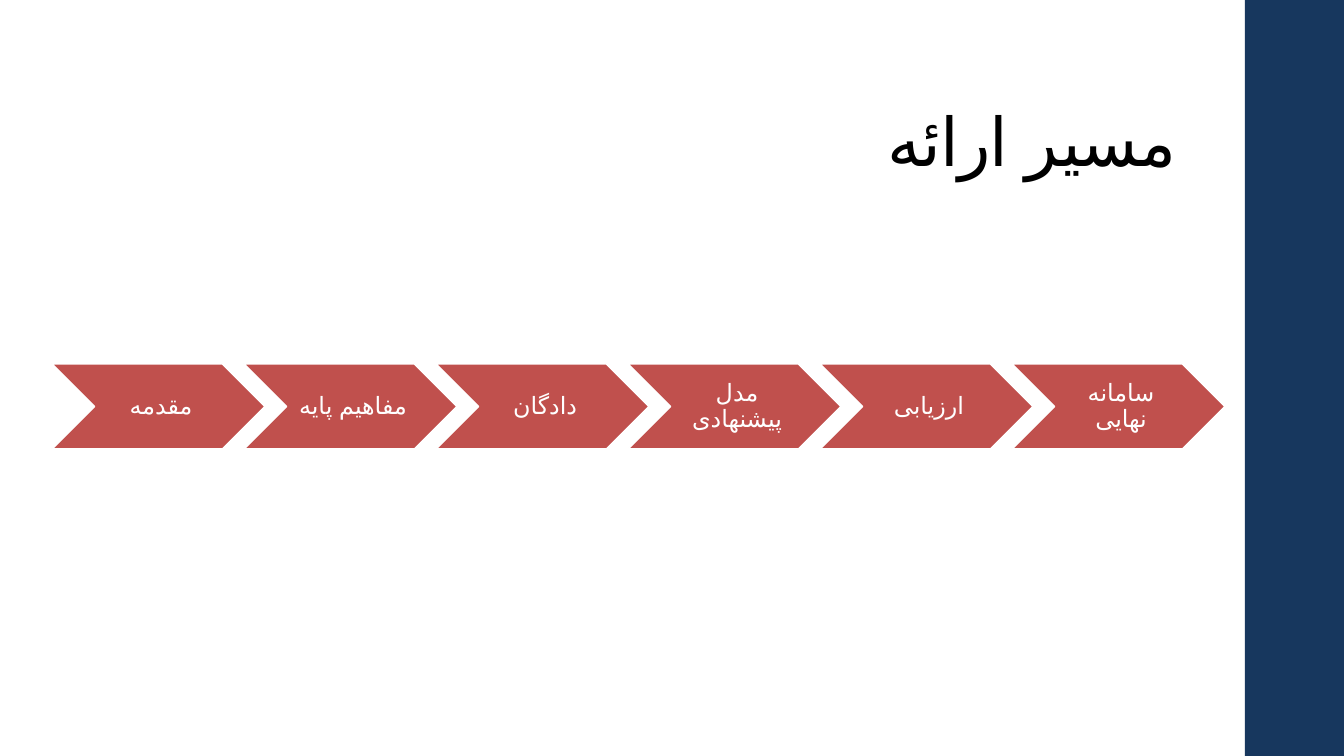
import dataclasses

import pptx
import pptx.dml.color
import pptx.enum.shapes
import pptx.enum.text
import pptx.util
from lxml import etree
from pptx.oxml.ns import qn


@dataclasses.dataclass(frozen=True)
class Theme:
    font: str = "TeX Gyre Schola"
    navy: str = "17375E"
    red: str = "C0504D"
    black: str = "000000"
    white: str = "FFFFFF"
    title_size: int = 48
    step_size: int = 17
    outline: float = 1.1


def px(length):
    """Turn whole pixels into EMU."""
    return pptx.util.Emu(round(length * 914400 / 100.8))


def rgb(colour):
    return pptx.dml.color.RGBColor.from_string(colour)


class SlideBuilder:
    def __init__(self, slide, theme):
        self.slide = slide
        self.theme = theme

    def add_text(self, frame, text, size, colour, align, anchor, insets, spacing=0):
        """Put one right-to-left paragraph into a text frame."""
        frame.word_wrap = True
        frame.auto_size = pptx.enum.text.MSO_AUTO_SIZE.NONE
        frame.vertical_anchor = anchor
        (frame.margin_left, frame.margin_top,
         frame.margin_right, frame.margin_bottom) = map(px, insets)
        paragraph = frame.paragraphs[0]
        paragraph.alignment = align
        paragraph.line_spacing = 0.9
        paragraph._p.get_or_add_pPr().set("rtl", "1")
        run = paragraph.add_run()
        run.text = text
        run.font.name = self.theme.font
        run.font.size = pptx.util.Pt(size)
        run.font.color.rgb = rgb(colour)
        properties = run._r.get_or_add_rPr()
        properties.set("lang", "fa-IR")
        if spacing:
            properties.set("spc", str(spacing))
        # Persian letters take the complex-script font
        etree.SubElement(properties, qn("a:cs")).set("typeface", self.theme.font)

    def shape(self, kind, left, top, width, height, fill, line=None):
        shape = self.slide.shapes.add_shape(
            kind, px(left), px(top), px(width), px(height))
        shape.shadow.inherit = False
        shape.fill.solid()
        shape.fill.fore_color.rgb = rgb(fill)
        if line:
            shape.line.color.rgb = rgb(line)
            shape.line.width = pptx.util.Pt(self.theme.outline)
        else:
            shape.line.fill.background()
        return shape

    def sidebar(self, left, top, width, height):
        self.shape(pptx.enum.shapes.MSO_SHAPE.RECTANGLE,
                   left, top, width, height, self.theme.navy)

    def title(self, text, left, top, width, height):
        heading = self.slide.shapes.title
        heading.left, heading.top = px(left), px(top)
        heading.width, heading.height = px(width), px(height)
        self.add_text(heading.text_frame, text, self.theme.title_size,
                      self.theme.black, pptx.enum.text.PP_ALIGN.RIGHT,
                      pptx.enum.text.MSO_ANCHOR.BOTTOM, (10, 5, 31, 5), spacing=-50)

    def step(self, text, left, top, width, height):
        chevron = self.shape(pptx.enum.shapes.MSO_SHAPE.CHEVRON, left, top,
                             width, height, self.theme.red, self.theme.white)
        self.add_text(chevron.text_frame, text, self.theme.step_size,
                      self.theme.white, pptx.enum.text.PP_ALIGN.CENTER,
                      pptx.enum.text.MSO_ANCHOR.MIDDLE, (7, 2, 2, 2))


def main():
    deck = pptx.Presentation()
    deck.slide_width, deck.slide_height = px(1344), px(756)
    title_only = deck.slide_layouts[5]
    page = SlideBuilder(deck.slides.add_slide(title_only), Theme())

    # Frame and heading
    page.sidebar(1245, 0, 99, 756)
    page.title("مسیر ارائه", 139, 40, 1069, 146)

    # Route of the talk, one chevron per step
    steps = ["مقدمه", "مفاهیم پایه", "دادگان",
             "مدل پیشنهادی", "ارزیابی", "سامانه نهایی"]
    first_left, pitch = 52, 192
    for index, name in enumerate(steps):
        page.step(name, first_left + index * pitch, 364, 213, 85)

    deck.save("out.pptx")


if __name__ == "__main__":
    main()
